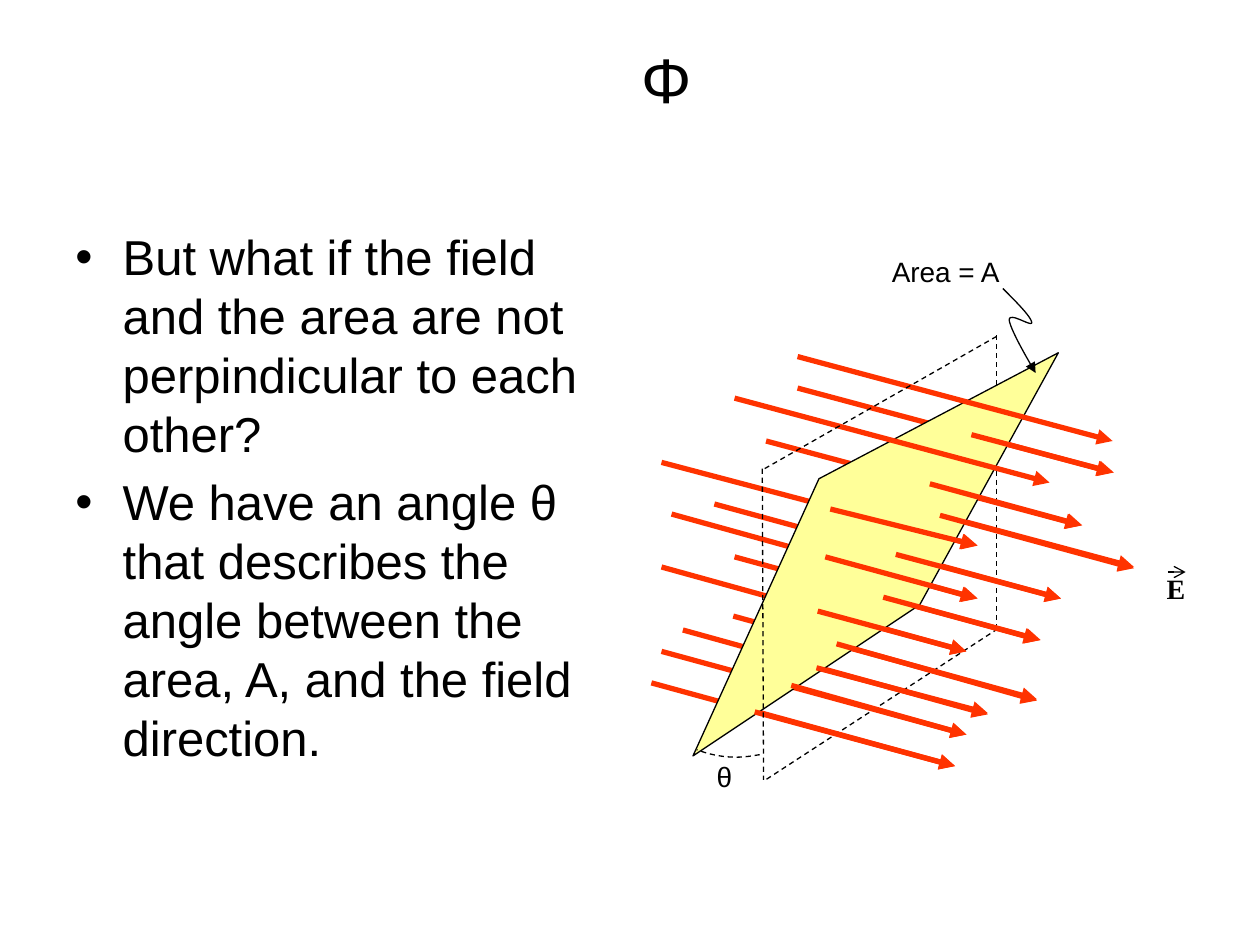
import pptx
import pptx.util
import pptx.dml.color
import pptx.enum.dml
import pptx.enum.shapes
import pptx.enum.text
import lxml.etree
from pptx.oxml.ns import qn

COLORS = {"ink": "000000", "field": "FF3300", "plane": "FFFF99"}

deck = pptx.Presentation()
deck.slide_width = pptx.util.Inches(10)
deck.slide_height = pptx.util.Inches(7.5)
slide = deck.slides.add_slide(deck.slide_layouts[6])
shapes = slide.shapes
COL = deck.slide_width / 100
ROW = deck.slide_height / 75


def style_line(item, color, width, dashed=False, tip=None):
    item.line.color.rgb = pptx.dml.color.RGBColor.from_string(COLORS[color])
    item.line.width = pptx.util.Pt(width)
    if dashed:
        item.line.dash_style = pptx.enum.dml.MSO_LINE.DASH
    props = item._element.spPr
    if tip:
        lxml.etree.SubElement(props.find(qn("a:ln")), qn("a:tailEnd"), type=tip)
    if props.find(qn("a:effectLst")) is None:
        lxml.etree.SubElement(props, qn("a:effectLst"))


def add_text(area, lines, size, font="Arial", wrap=False):
    left, top, width, height = area
    box = shapes.add_textbox(int(left * COL), int(top * ROW), int(width * COL), int(height * ROW))
    frame = box.text_frame
    frame.word_wrap = wrap
    frame.text = "\n".join(lines)
    for run in (run for paragraph in frame.paragraphs for run in paragraph.runs):
        run.font.size = pptx.util.Pt(size)
        run.font.name = font
        run.font.color.rgb = pptx.dml.color.RGBColor.from_string(COLORS["ink"])
    return frame


title = add_text((17.5, 0, 70.8, 12.5), ["Φ"], 36, wrap=True)
title.vertical_anchor = pptx.enum.text.MSO_ANCHOR.MIDDLE
title.paragraphs[0].alignment = pptx.enum.text.PP_ALIGN.CENTER

questions = add_text((5, 17.5, 44.2, 49.5), [
    "But what if the field and the area are not perpindicular to each other?",
    "We have an angle θ that describes the angle between the area, A, and the field direction.",
], 28, wrap=True)
for index, question in enumerate(questions.paragraphs):
    props = question._p.get_or_add_pPr()
    props.set("marL", str(int(3.75 * COL)))
    props.set("indent", str(int(-3.75 * COL)))
    lxml.etree.SubElement(props, qn("a:buFont"), typeface="Arial")
    lxml.etree.SubElement(props, qn("a:buChar"), char="•")
    if index:
        question.space_before = pptx.util.Pt(5.6)

upright_back = [(79.2, 49.9, 60.6, 62), (79.1, 26.6, 79.1, 50)]
upright_front = [(79.1, 26.7, 60.5, 37.3), (60.5, 37.2, 60.6, 61.9)]
field_behind = [
    (51.7, 54.2, 75.8, 60.8), (54.2, 50, 78.4, 56.7), (56.7, 40, 84.2, 47.5),
    (63.3, 30.8, 88.3, 37.5), (52.5, 36.7, 77.5, 43.3), (52.5, 51.7, 76.7, 58.3),
    (58.2, 48.9, 82.3, 55.5), (52.5, 45, 76.7, 51.7), (58.3, 44.2, 82.5, 50.8),
    (53.3, 40.8, 77.5, 47.5), (60.8, 35, 85.8, 41.7), (65, 38.3, 90, 45),
]
field_ahead = [
    (59.9, 56.5, 75.8, 60.8), (62.8, 54.4, 76.7, 58.3), (64.8, 53, 78.4, 56.6),
    (66.4, 51.1, 82.3, 55.6), (64.9, 48.5, 76.7, 51.7), (70.1, 47.4, 82.6, 50.8),
    (65.5, 44.2, 77.6, 47.5), (65.9, 40.4, 77.6, 43.3), (74.6, 40.9, 90, 45.1),
    (73.8, 38.4, 85.9, 41.7), (77.1, 34.5, 88.4, 37.5), (71.1, 44, 84.2, 47.5),
    (63.3, 28.3, 88.3, 35), (58.3, 31.6, 83.3, 38.3),
]
plane = [(54.7, 60.5), (65.3, 38.5), (83.9, 27.8), (73.2, 48.5)]
area_pointer = [
    [(79.6, 22.9), (80.7, 24), (81.8, 25.1), (81.9, 25.6)],
    [(81.9, 25.6), (81.9, 26), (80.1, 24.7), (80.1, 25.4)],
    [(80.1, 25.4), (80.2, 26.1), (81.2, 27.9), (82.2, 29.6)],
]
angle_arc = [
    [(60.3, 59.9), (59.7, 60), (59.1, 60.1), (58.4, 60.1)],
    [(58.4, 60.1), (57.4, 60.1), (56.3, 59.9), (55.3, 59.5)],
]

line_groups = [
    (upright_back, "ink", 0.75, True, None),
    (field_behind, "field", 3, False, "triangle"),
    ([], "plane", 0.75, False, None),
    (field_ahead, "field", 3, False, "triangle"),
    (upright_front, "ink", 0.75, True, None),
    ([(92.7, 45.4, 94.1, 45.4)], "ink", 0.75, False, "arrow"),
]
for segments, color, width, dashed, tip in line_groups:
    if color == "plane":
        outline = shapes.build_freeform(*plane[0], scale=COL)
        outline.add_line_segments(plane[1:], close=True)
        sheet = outline.convert_to_shape()
        sheet.fill.solid()
        sheet.fill.fore_color.rgb = pptx.dml.color.RGBColor.from_string(COLORS["plane"])
        style_line(sheet, "ink", width)
    for x1, y1, x2, y2 in segments:
        segment = shapes.add_connector(
            pptx.enum.shapes.MSO_CONNECTOR.STRAIGHT,
            int(x1 * COL), int(y1 * ROW), int(x2 * COL), int(y2 * ROW))
        style_line(segment, color, width, dashed, tip)

STEPS = 12
for curve, dashed, tip in [(area_pointer, False, "triangle"), (angle_arc, True, None)]:
    points = [curve[0][0]]
    for bezier in curve:
        for step in range(1, STEPS + 1):
            t = step / STEPS
            weights = [(1 - t) ** 3, 3 * t * (1 - t) ** 2, 3 * t ** 2 * (1 - t), t ** 3]
            points.append(tuple(sum(w * p[axis] for w, p in zip(weights, bezier)) for axis in (0, 1)))
    trace = shapes.build_freeform(*[round(v * COL) for v in points[0]])
    trace.add_line_segments([(round(x * COL), round(y * ROW)) for x, y in points[1:]], close=False)
    stroke = trace.convert_to_shape()
    stroke.fill.background()
    style_line(stroke, "ink", 0.75, dashed, tip)

vector = add_text((91.6, 44.9, 3.5, 3.7), ["E"], 16, "Times New Roman")
vector.paragraphs[0].runs[0].font.bold = True
add_text((69.8, 19.7, 10.7, 3.7), ["Area = A"], 16)
add_text((55.3 + 0.6, 59.8, 3.7, 3.7), ["θ"], 16)

deck.save("out.pptx")
